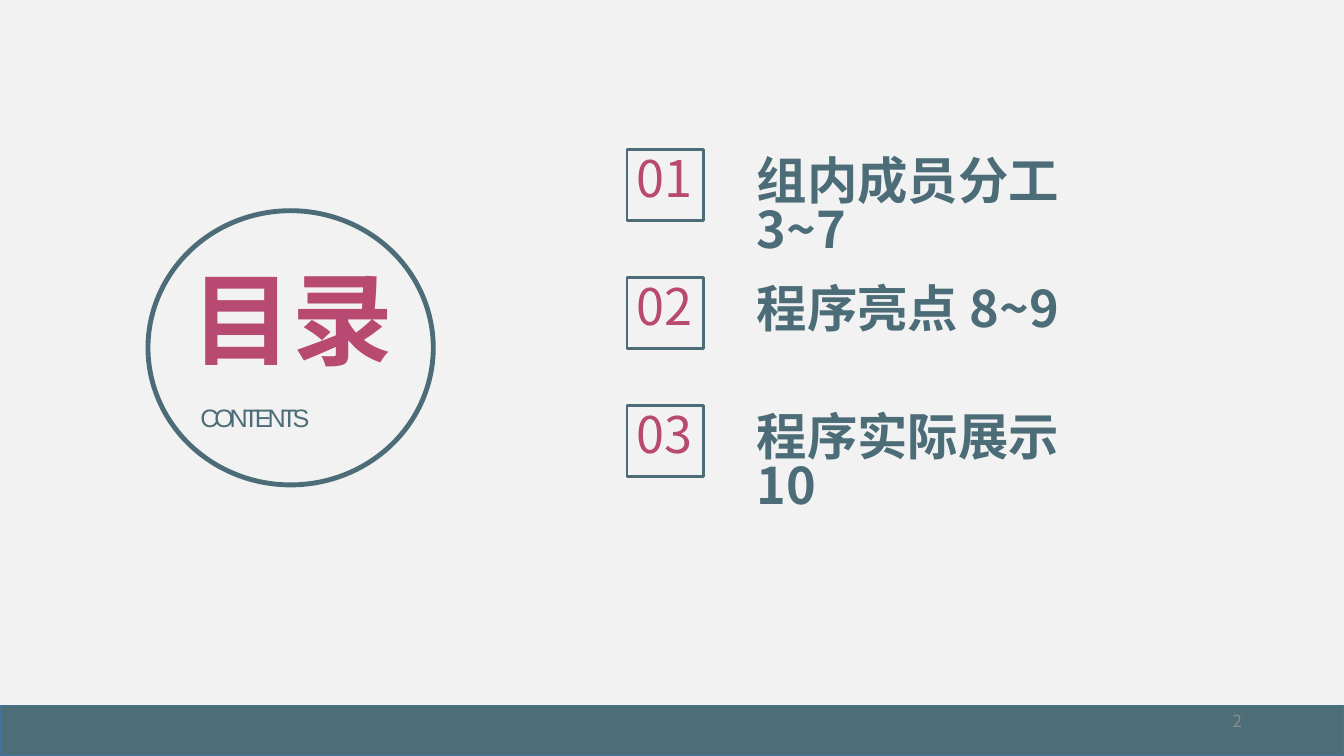
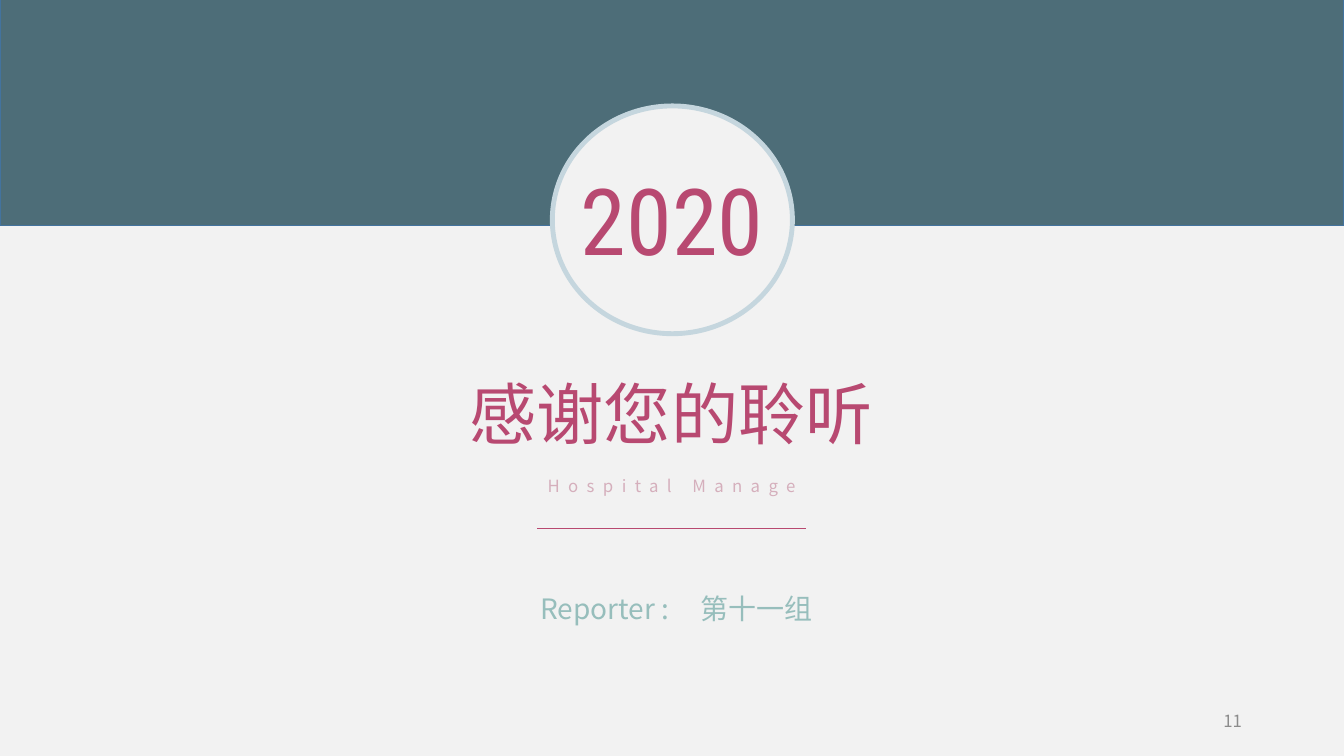
from collections import namedtuple

from lxml import etree
from pptx import Presentation
from pptx.dml.color import RGBColor
from pptx.enum import shapes, text
from pptx.oxml import ns
from pptx.util import Cm, Pt

PAPER = RGBColor(0xF2, 0xF2, 0xF2)
SLATE = RGBColor(0x4C, 0x6D, 0x78)
BAND = RGBColor(0x4D, 0x6D, 0x78)
BAND_EDGE = RGBColor(0x43, 0x73, 0x9E)
ROSE = RGBColor(0xB8, 0x49, 0x70)
CLOSING_ROSE = RGBColor(0xB8, 0x49, 0x71)
PALE_ROSE = RGBColor(0xD5, 0xAF, 0xBC)
PALE_BLUE = RGBColor(0xC5, 0xD6, 0xDE)
SAGE = RGBColor(0x97, 0xBE, 0xBC)
GREY = RGBColor(0x8C, 0x8C, 0x8C)

CJK = "Noto Sans CJK SC"
WIDTH, HEIGHT = 33.87, 19.05
TITLE_ONLY = 5
LEFT, CENTER, RIGHT = (
    text.PP_ALIGN.LEFT, text.PP_ALIGN.CENTER, text.PP_ALIGN.RIGHT)
TOP, MIDDLE = text.MSO_ANCHOR.TOP, text.MSO_ANCHOR.MIDDLE

Box = namedtuple("Box", "left top width height")


def inside(region, left, top, width, height):
    return Box(region.left + left, region.top + top, width, height)


def apply(target, formats):
    for attribute, value in formats.items():
        setattr(target, attribute, value)


def write(holder, words, size, color, font=CJK, bold=False, align=LEFT,
          anchor=TOP, wrap=True, leading=0.9, tracking=0, inset_top=0.13,
          tab=None):
    frame = holder.text_frame
    apply(frame, {
        "auto_size": text.MSO_AUTO_SIZE.NONE, "word_wrap": wrap,
        "vertical_anchor": anchor, "margin_top": Cm(inset_top),
        "margin_bottom": Cm(0.13), "margin_left": Cm(0.25),
        "margin_right": Cm(0.25)})
    line = frame.paragraphs[0]
    apply(line, {"alignment": align, "line_spacing": leading,
                 "space_before": Pt(0)})
    if tab:
        stops = etree.SubElement(line._p.get_or_add_pPr(), ns.qn("a:tabLst"))
        etree.SubElement(stops, ns.qn("a:tab"), pos=str(Cm(tab)), algn="l")
    run = line.add_run()
    run.text = words
    apply(run.font, {"name": font, "size": Pt(size), "bold": bold})
    run.font.color.rgb = color
    properties = run._r.get_or_add_rPr()
    etree.SubElement(properties, ns.qn("a:ea"), typeface=font)
    if tracking:
        properties.set("spc", str(tracking * 100))


def add_label(slide, box, words, size, color, **style):
    label = slide.shapes.add_textbox(*map(Cm, box))
    write(label, words, size, color, **style)


def add_title(slide, box, words, size, color, **style):
    title = slide.shapes.title
    apply(title, dict(zip(Box._fields, map(Cm, box))))
    write(title, words, size, color, **style)


def add_panel(slide, kind, box, edge, edge_width, fill=None):
    panel = slide.shapes.add_shape(kind, *map(Cm, box))
    panel.shadow.inherit = False
    if fill is None:
        panel.fill.background()
    else:
        panel.fill.solid()
        panel.fill.fore_color.rgb = fill
    panel.line.color.rgb = edge
    panel.line.width = Pt(edge_width)
    return panel


def add_band(slide, top, height):
    add_panel(slide, shapes.MSO_SHAPE.RECTANGLE,
              Box(0, top, WIDTH, height), BAND_EDGE, 1, BAND)


def add_page_number(slide, number):
    add_label(slide, Box(23.93, 17.65, 7.62, 1.02), str(number), 12, GREY,
              align=RIGHT, anchor=MIDDLE, leading=1)


def add_rule(slide, left, top, width):
    rule = slide.shapes.add_connector(
        shapes.MSO_CONNECTOR.STRAIGHT,
        Cm(left), Cm(top), Cm(left + width), Cm(top))
    rule.line.color.rgb = ROSE
    rule.line.width = Pt(0.5)
    etree.SubElement(rule._element.spPr, ns.qn("a:effectLst"))


def contents_medallion(slide, region):
    add_panel(slide, shapes.MSO_SHAPE.OVAL, region, SLATE, 3.5)
    add_title(slide, inside(region, 0.84, 1.37, 5.59, 3.25), "目录", 72, ROSE,
              bold=True, wrap=False)
    add_label(slide, inside(region, 1.07, 4.7, 5.16, 1.02), "CONTENTS", 18,
              SLATE, font="Arial", leading=1, tracking=-3)


def topic_list(slide, region, topics):
    row_height = 1.8
    pitch = (region.height - row_height) / (len(topics) - 1)
    for index, topic in enumerate(topics):
        top = index * pitch
        badge = add_panel(slide, shapes.MSO_SHAPE.RECTANGLE,
                          inside(region, 0, top, 1.93, row_height), SLATE, 2)
        write(badge, f"{index + 1:02}", 36, ROSE, wrap=False)
        add_label(slide, inside(region, 3.02, top, 9.42, row_height), topic,
                  36, SLATE, bold=True, leading=0.8, inset_top=0.3)


def year_medallion(slide, region):
    add_panel(slide, shapes.MSO_SHAPE.OVAL, region, PALE_BLUE, 3.5, PAPER)
    add_label(slide, inside(region, 0.33, 1.3, 5.38, 3.07), "2020", 66,
              CLOSING_ROSE, font="Roboto Condensed", align=CENTER,
              wrap=False, leading=1)


def closing_words(slide, region):
    add_title(slide, inside(region, 0, 0, region.width, 2.31),
              "感谢您的聆听", 48, CLOSING_ROSE, align=CENTER)
    add_label(slide, inside(region, 2.72, 2.44, 13.44, 0.76),
              "Hospital Manage", 12, PALE_ROSE, align=CENTER, tracking=6)
    add_rule(slide, region.left + 6.05, region.top + 3.84, 6.78)
    add_label(slide, inside(region, 5.87, 5.39, 9.93, 1.12),
              "Reporter :\t第十一组", 20, SAGE, tab=4.04)


def contents_slide(slide):
    contents_medallion(slide, Box(3.73, 5.31, 7.19, 6.91))
    topic_list(slide, Box(15.8, 3.76, 12.44, 8.25),
               ["组内成员分工 3~7", "程序亮点 8~9", "程序实际展示 10"])
    add_band(slide, 17.78, 1.27)
    add_page_number(slide, 2)


def closing_slide(slide):
    add_band(slide, -0.05, 5.74)
    year_medallion(slide, Box(13.92, 2.67, 6.05, 5.74))
    closing_words(slide, Box(7.49, 9.47, 18.85, 6.51))
    add_page_number(slide, 11)


def main():
    deck = Presentation()
    deck.slide_width, deck.slide_height = Cm(WIDTH), Cm(HEIGHT)
    backdrop = deck.slide_master.background.fill
    backdrop.solid()
    backdrop.fore_color.rgb = PAPER
    for build in (contents_slide, closing_slide):
        build(deck.slides.add_slide(deck.slide_layouts[TITLE_ONLY]))
    deck.save("out.pptx")


if __name__ == "__main__":
    main()
